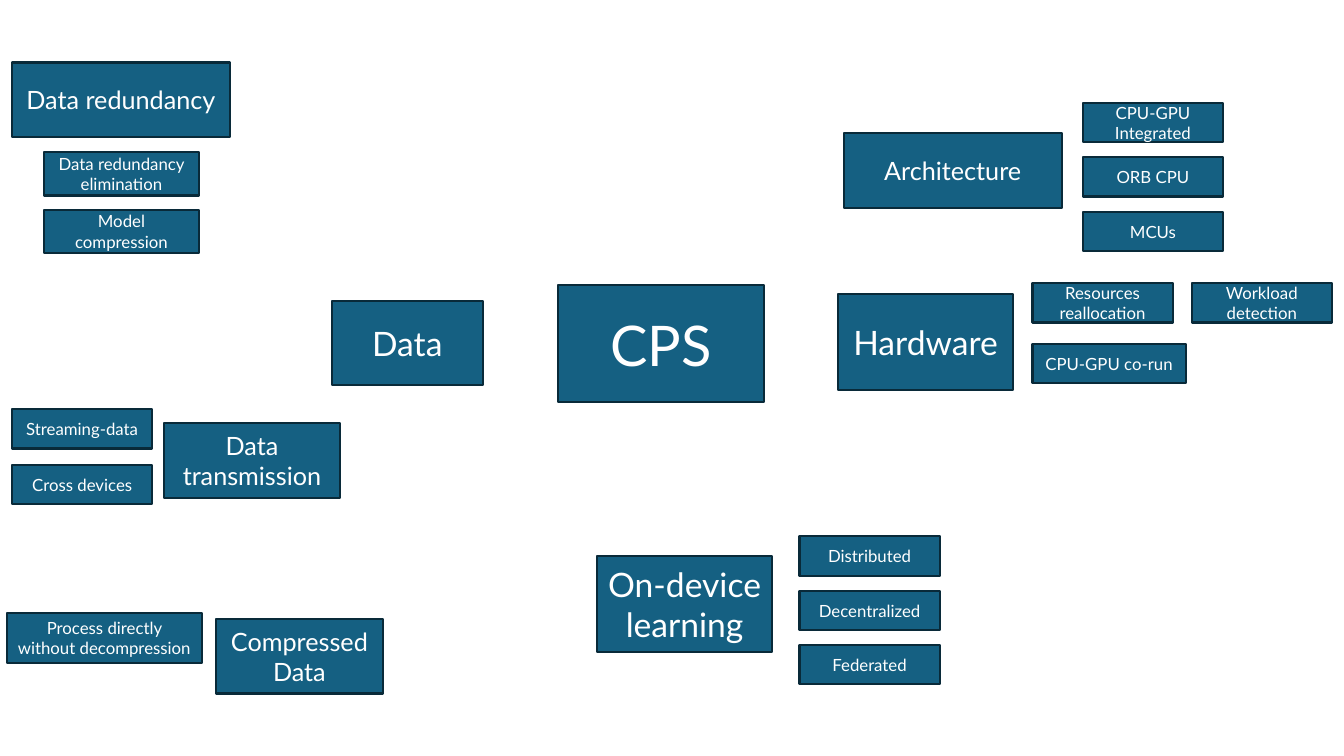
from pptx import Presentation, util as u
from pptx.dml import color
from pptx.enum import shapes, text


def rgb(value):
    return color.RGBColor.from_string(value)


def write(frame, words, size=12, font="Lato", ink="FFFFFF"):
    frame.word_wrap = True
    frame.vertical_anchor = text.MSO_ANCHOR.MIDDLE
    paragraph = frame.paragraphs[0]
    paragraph.alignment = text.PP_ALIGN.CENTER
    run = paragraph.add_run()
    run.text = words
    run.font.size = u.Pt(size)
    run.font.name = font
    run.font.color.rgb = rgb(ink)


class MindMap:
    FILL, EDGE, EDGE_WIDTH = "156082", "092A39", 1.5
    DETAIL_SIZE = (1.39, 0.39)

    def __init__(self, slide):
        self.slide = slide

    def group(self):
        return self.slide.shapes.add_group_shape().shapes

    def box(self, words, left, top, width, height, size=12, parent=None):
        target = self.slide.shapes if parent is None else parent
        node = target.add_shape(
            shapes.MSO_SHAPE.RECTANGLE, u.Inches(left), u.Inches(top),
            u.Inches(width), u.Inches(height))
        node.shadow.inherit = False
        node.fill.solid()
        node.fill.fore_color.rgb = rgb(self.FILL)
        node.line.color.rgb = rgb(self.EDGE)
        node.line.width = u.Pt(self.EDGE_WIDTH)
        write(node.text_frame, words, size=size)

    def stack(self, labels, left, top, pitch, size=DETAIL_SIZE, parent=None):
        for row, words in enumerate(labels):
            self.box(words, left, top + row * pitch, *size, parent=parent)


def main():
    deck = Presentation()
    deck.slide_width, deck.slide_height = u.Inches(13.33), u.Inches(7.5)
    cps = MindMap(deck.slides.add_slide(deck.slide_layouts[6]))

    # Centre
    cps.box("CPS", 5.53, 2.83, 2.05, 1.16, size=40)

    # Data branch
    cps.box("Data", 3.29, 2.99, 1.5, 0.83, size=24)

    redundancy = cps.group()
    cps.box("Data redundancy", 0.12, 0.62, 2.16, 0.74, size=18, parent=redundancy)
    cps.stack(["Data redundancy elimination", "Model compression"],
              0.44, 1.51, 0.57, size=(1.53, 0.43), parent=redundancy)

    cps.box("Data transmission", 1.63, 4.2, 1.74, 0.74, size=18)
    cps.stack(["Streaming-data", "Cross devices"], 0.12, 4.06, 0.55)

    cps.box("Compressed Data", 2.14, 6.14, 1.66, 0.74, size=18)
    cps.box("Process directly without decompression", 0.07, 6.08, 1.93, 0.5)

    # Hardware branch
    cps.box("Hardware", 8.31, 2.92, 1.74, 0.95, size=24)
    cps.stack(["Resources reallocation"], 10.24, 2.81, 0)
    cps.stack(["Workload detection"], 11.82, 2.81, 0)
    cps.box("CPU-GPU co-run", 10.24, 3.41, 1.52, 0.39)

    architecture = cps.group()
    cps.box("Architecture", 8.37, 1.32, 2.16, 0.74, size=18, parent=architecture)
    cps.stack(["CPU-GPU Integrated", "ORB CPU", "MCUs"],
              10.74, 1.02, 0.54, parent=architecture)

    # On-device learning branch
    cps.box("On-device learning", 5.92, 5.52, 1.74, 0.95, size=24)
    cps.stack(["Distributed", "Decentralized", "Federated"], 7.93, 5.32, 0.54)

    deck.save("out.pptx")


if __name__ == "__main__":
    main()
